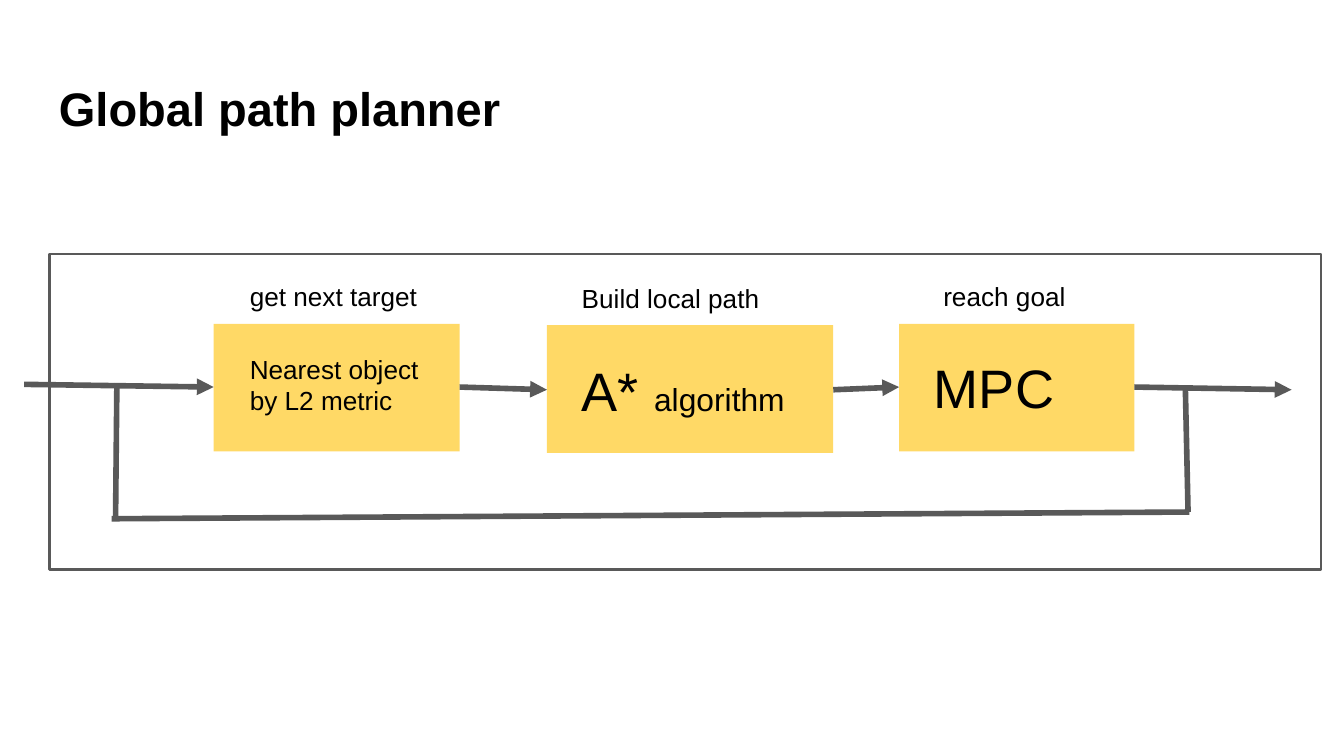
"""Build the global path planner slide: three stages joined in a feedback loop."""
from dataclasses import dataclass

from lxml.etree import SubElement
from pptx import Presentation
from pptx.dml.color import RGBColor
from pptx.enum.shapes import MSO_CONNECTOR, MSO_SHAPE
from pptx.enum.text import MSO_ANCHOR
from pptx.oxml.ns import qn
from pptx.shapes.autoshape import Shape
from pptx.slide import Slide
from pptx.util import Inches, Pt

GRAY = RGBColor(0x59, 0x59, 0x59)
YELLOW = RGBColor(0xFF, 0xD9, 0x66)
BLACK = RGBColor(0, 0, 0)
SLIDE_WIDTH = Inches(10)
SLIDE_FORMAT = {"slide_width": SLIDE_WIDTH, "slide_height": SLIDE_WIDTH * 9 // 16}
FRAME_FORMAT = {"width": Pt(1.5)}
ARROW_FORMAT = {"width": Pt(3)}
MARGINS = {f"margin_{side}": Inches(0.1) for side in ("left", "top", "right", "bottom")}
STAGE_HEIGHT = 0.95
CAPTION_RISE = 0.42


@dataclass(frozen=True)
class Run:
    text: str
    size: float
    bold: bool = False


@dataclass(frozen=True)
class Box:
    left: float
    top: float
    width: float
    height: float

    def lengths(self) -> list[Inches]:
        return [Inches(v) for v in (self.left, self.top, self.width, self.height)]


@dataclass(frozen=True)
class Stage:
    left: float
    top: float
    width: float
    caption: str
    caption_left: float
    body: Box
    runs: tuple[Run, ...]


@dataclass(frozen=True)
class Link:
    x1: float
    y1: float
    x2: float
    y2: float
    arrow: bool = False


STAGES = (
    Stage(1.59, 2.41, 1.83, "get next target", 1.76, Box(1.76, 2.53, 1.58, 0.67),
          (Run("Nearest object by L2 metric", 14),)),
    Stage(4.07, 2.42, 2.13, "Build local path", 4.23, Box(4.23, 2.56, 1.75, 0.69),
          (Run("A* ", 29), Run("algorithm", 17))),
    Stage(6.69, 2.41, 1.75, "reach goal", 6.92, Box(6.85, 2.54, 1.75, 0.69),
          (Run("MPC", 29),)),
)
LINKS = (
    Link(0.18, 2.86, 1.59, 2.88, True),
    Link(3.42, 2.88, 4.07, 2.9, True),
    Link(6.2, 2.9, 6.69, 2.88, True),
    Link(8.44, 2.88, 9.61, 2.9, True),
    Link(8.82, 2.89, 8.84, 3.81),
    Link(0.83, 3.86, 8.85, 3.81),
    Link(0.86, 3.85, 0.87, 2.85),
)


def apply_format(target: object, values: dict) -> None:
    for name, value in values.items():
        setattr(target, name, value)


def add_rectangle(s: Slide, box: Box) -> Shape:
    sp = s.shapes.add_shape(MSO_SHAPE.RECTANGLE, *box.lengths())
    sp.shadow.inherit = False
    return sp


def add_frame(s: Slide, box: Box) -> None:
    sp = add_rectangle(s, box)
    sp.fill.background()
    sp.line.color.rgb = GRAY
    apply_format(sp.line, FRAME_FORMAT)


def add_text(s: Slide, box: Box, runs: tuple[Run, ...],
             anchor: MSO_ANCHOR = MSO_ANCHOR.TOP) -> None:
    tf = s.shapes.add_textbox(*box.lengths()).text_frame
    apply_format(tf, {**MARGINS, "word_wrap": True, "vertical_anchor": anchor})
    p = tf.paragraphs[0]
    for run in runs:
        r = p.add_run()
        r.text = run.text
        apply_format(r.font, {"name": "Arial", "size": Pt(run.size), "bold": run.bold})
        r.font.color.rgb = BLACK


def add_stage(s: Slide, stage: Stage) -> None:
    sp = add_rectangle(s, Box(stage.left, stage.top, stage.width, STAGE_HEIGHT))
    sp.fill.solid()
    sp.fill.fore_color.rgb = YELLOW
    sp.line.fill.background()
    add_text(s, stage.body, stage.runs)
    caption_top = stage.top - CAPTION_RISE
    add_text(s, Box(stage.caption_left, caption_top, 1.58, 0.44), (Run(stage.caption, 14),))


def add_link(s: Slide, link: Link) -> None:
    ends = [Inches(v) for v in (link.x1, link.y1, link.x2, link.y2)]
    cxn = s.shapes.add_connector(MSO_CONNECTOR.STRAIGHT, *ends)
    cxn.line.color.rgb = GRAY
    apply_format(cxn.line, ARROW_FORMAT)
    properties = cxn._element.spPr
    if link.arrow:
        SubElement(properties.find(qn("a:ln")), qn("a:tailEnd"), type="triangle")
    SubElement(properties, qn("a:effectLst"))


def main() -> None:
    prs = Presentation()
    apply_format(prs, SLIDE_FORMAT)
    s = prs.slides.add_slide(prs.slide_layouts[6])
    add_frame(s, Box(0.37, 1.89, 9.46, 2.35))
    add_text(s, Box(0.34, 0.49, 9.32, 0.63), (Run("Global path planner", 25.2, True),),
             MSO_ANCHOR.MIDDLE)
    for stage in STAGES:
        add_stage(s, stage)
    for link in LINKS:
        add_link(s, link)
    prs.save("out.pptx")


if __name__ == "__main__":
    main()
